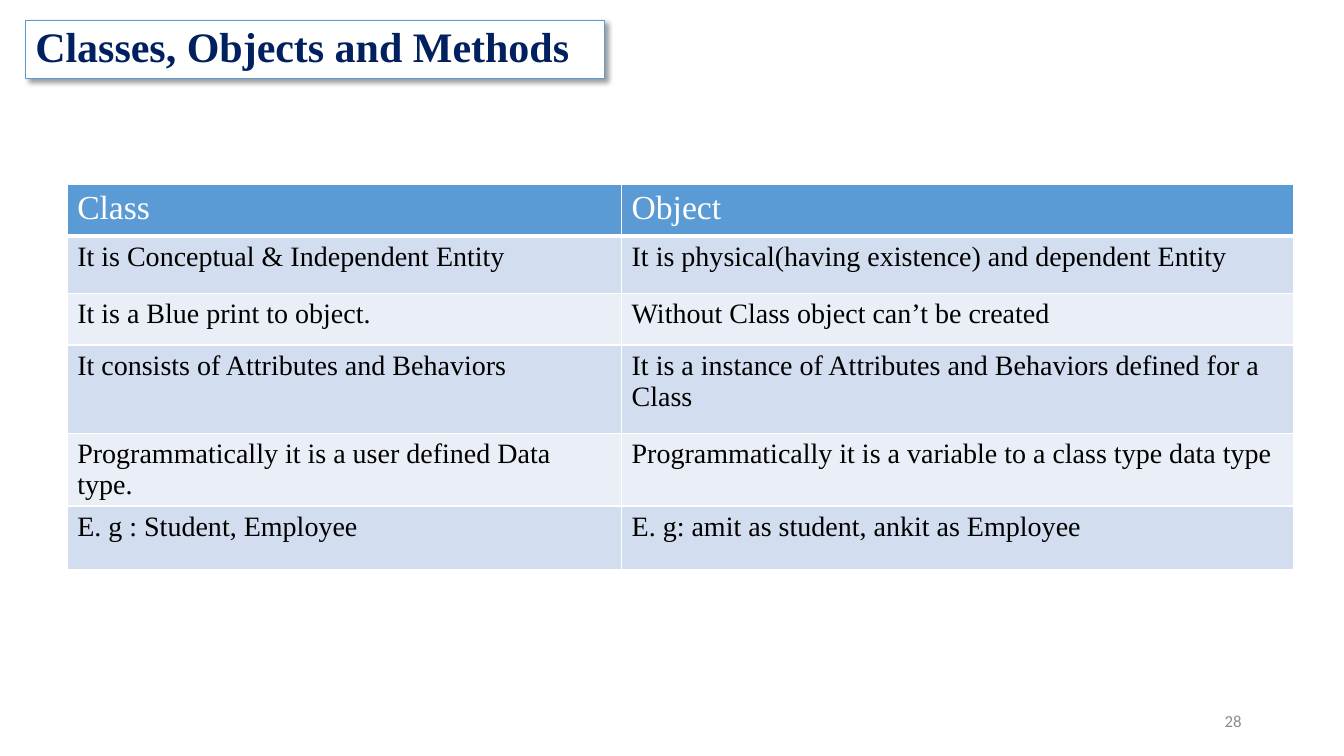
from lxml.etree import SubElement
from pptx import Presentation
from pptx.dml.color import RGBColor
from pptx.enum.text import MSO_ANCHOR, MSO_AUTO_SIZE, PP_ALIGN
from pptx.oxml.ns import qn
from pptx.util import Pt

COLORS = {
    "white": "FFFFFF",
    "black": "000000",
    "blue": "5B9BD5",
    "navy": "002060",
    "gray": "8C8C8C",
    "band_dark": "D2DEEF",
    "band_light": "EAEFF7",
}
SERIF = "Times New Roman"

COL_WIDTHS = [396, 480.24]
ROW_HEIGHTS = [36.72, 41.04, 36.72, 63.36, 49.2, 45.36]
ROWS = [
    ("Class", "Object"),
    ("It is Conceptual & Independent Entity",
     "It is physical(having existence) and dependent Entity"),
    ("It is a Blue print to object.",
     "Without Class object can’t be created"),
    ("It consists of Attributes and Behaviors",
     "It is a instance of Attributes and Behaviors defined for a Class"),
    ("Programmatically it is a user defined Data type.",
     "Programmatically it is a variable to a class type data type"),
    ("E. g : Student, Employee",
     "E. g: amit as student, ankit as Employee"),
]


def rgb(name):
    return RGBColor.from_string(COLORS[name])


def format_text(tf, size, color, font=SERIF, bold=False):
    for p in tf.paragraphs:
        for r in p.runs:
            r.font.name = font
            r.font.size = Pt(size)
            r.font.bold = bold
            r.font.color.rgb = rgb(color)


def add_color(parent, name):
    fill = SubElement(parent, qn("a:solidFill"))
    return SubElement(fill, qn("a:srgbClr"), val=COLORS[name])


def add_shadow(sp, blur, distance, angle, opacity):
    effects = SubElement(sp._element.spPr, qn("a:effectLst"))
    shadow = SubElement(effects, qn("a:outerShdw"), blurRad=str(Pt(blur)),
                        dist=str(Pt(distance)), dir=str(angle * 60000),
                        algn="tl", rotWithShape="0")
    color = SubElement(shadow, qn("a:srgbClr"), val=COLORS["black"])
    SubElement(color, qn("a:alpha"), val=str(opacity * 1000))


def set_borders(cell, bottom):
    tcPr = cell._tc.get_or_add_tcPr()
    for side, width in (("L", 1), ("R", 1), ("T", 1), ("B", bottom)):
        line = SubElement(tcPr, qn(f"a:ln{side}"), w=str(Pt(width)))
        add_color(line, "white")


def title_box(s, left, top, width, height):
    sp = s.shapes.title
    sp.left, sp.top, sp.width, sp.height = map(Pt, (left, top, width, height))
    sp.fill.solid()
    sp.fill.fore_color.rgb = rgb("white")
    sp.line.color.rgb = rgb("blue")
    sp.line.width = Pt(0.75)
    add_shadow(sp, blur=4, distance=3, angle=45, opacity=40)

    tf = sp.text_frame
    tf.text = "Classes, Objects and Methods"
    tf.word_wrap = True
    tf.auto_size = MSO_AUTO_SIZE.NONE
    tf.vertical_anchor = MSO_ANCHOR.MIDDLE
    tf.margin_left = tf.margin_right = Pt(7.2)
    tf.margin_top = tf.margin_bottom = Pt(3.6)
    p = tf.paragraphs[0]
    p.alignment = PP_ALIGN.LEFT
    p.line_spacing = 0.9
    format_text(tf, 30, "navy", bold=True)


def comparison_table(s, left, top):
    frame = s.shapes.add_table(len(ROWS), len(COL_WIDTHS), Pt(left), Pt(top),
                               Pt(sum(COL_WIDTHS)), Pt(sum(ROW_HEIGHTS)))
    table = frame.table
    for column, width in zip(table.columns, COL_WIDTHS):
        column.width = Pt(width)
    for i, (row, height) in enumerate(zip(table.rows, ROW_HEIGHTS)):
        row.height = Pt(height)
        if i == 0:
            fill, color, size, bottom = "blue", "white", 24, 3
        else:
            fill = "band_dark" if i % 2 else "band_light"
            color, size, bottom = "black", 20, 1
        for cell, text in zip(row.cells, ROWS[i]):
            cell.text_frame.text = text
            format_text(cell.text_frame, size, color)
            set_borders(cell, bottom)
            cell.fill.solid()
            cell.fill.fore_color.rgb = rgb(fill)


def page_number(s, left, top, width, height):
    sp = s.shapes.add_textbox(*map(Pt, (left, top, width, height)))
    tf = sp.text_frame
    tf.text = "28"
    tf.word_wrap = True
    tf.vertical_anchor = MSO_ANCHOR.MIDDLE
    tf.paragraphs[0].alignment = PP_ALIGN.RIGHT
    format_text(tf, 12, "gray", font="Calibri")


def main():
    prs = Presentation()
    prs.slide_width, prs.slide_height = Pt(960), Pt(540)
    s = prs.slides.add_slide(prs.slide_layouts[5])

    # Heading, comparison and footer
    title_box(s, 18, 14.4, 414, 41.76)
    comparison_table(s, 48, 132)
    page_number(s, 678, 500.5, 216, 28.8)

    prs.save("out.pptx")


if __name__ == "__main__":
    main()
